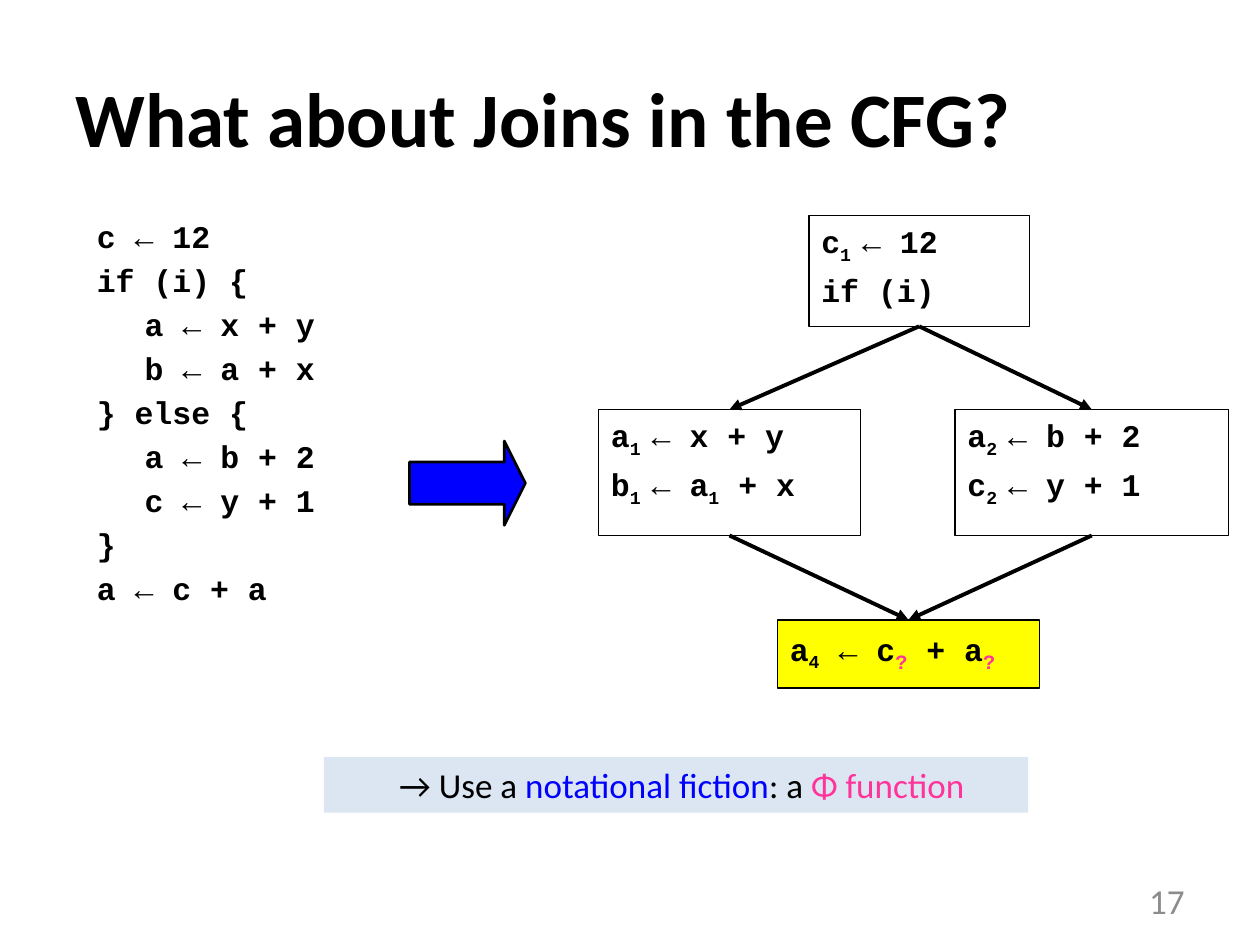
from dataclasses import dataclass
from typing import NamedTuple

import pptx
import pptx.dml.color
import pptx.enum.shapes
import pptx.enum.text
import pptx.oxml.ns
import pptx.util
from lxml import etree
from pptx.util import Inches

COLORS = {
    "black": "000000",
    "blue": "0000FF",
    "pink": "FF3399",
    "yellow": "FFFF00",
    "pale": "DCE6F2",
    "gray": "8C8C8C",
}
ANCHOR = pptx.enum.text.MSO_ANCHOR
ALIGN = pptx.enum.text.PP_ALIGN
SHAPE = pptx.enum.shapes.MSO_SHAPE
BOTTOM_SITE, TOP_SITE = 2, 0


class Run(NamedTuple):
    text: str
    size: float = 18
    font: str = "Courier New"
    color: str = "black"
    bold: bool = True
    subscript: bool = False


@dataclass
class Block:
    name: str
    left: float
    top: float
    width: float
    height: float
    lines: list[list[Run]]
    fill: str | None = None


def sub(text: str) -> Run:
    return Run(text, subscript=True)


def unknown() -> Run:
    return Run("?", size=20, color="pink", subscript=True)


def calibri(text: str, size: float = 20, color: str = "black", bold: bool = False) -> Run:
    return Run(text, size, "Calibri", color, bold)


def rgb(name: str) -> pptx.dml.color.RGBColor:
    return pptx.dml.color.RGBColor.from_string(COLORS[name])


def add_runs(paragraph, runs: list[Run]) -> None:
    for item in runs:
        run = paragraph.add_run()
        run.text = item.text
        run.font.size = pptx.util.Pt(item.size)
        run.font.name = item.font
        run.font.bold = item.bold
        run.font.color.rgb = rgb(item.color)
        if item.subscript:
            run.font._element.set("baseline", "-25000")


def set_indent(paragraph, margin: float, indent: float) -> None:
    properties = paragraph._p.get_or_add_pPr()
    properties.set("marL", str(Inches(margin)))
    properties.set("indent", str(Inches(indent)))


def write_code(text_frame, lines: list[list[Run]]) -> None:
    """Code lines with a hanging indent and 20% space before."""
    text_frame.word_wrap = True
    text_frame.vertical_anchor = ANCHOR.TOP
    for index, runs in enumerate(lines):
        paragraph = text_frame.add_paragraph() if index else text_frame.paragraphs[0]
        paragraph.alignment = ALIGN.LEFT
        set_indent(paragraph, 0.38, -0.38)
        space = etree.SubElement(paragraph._p.get_or_add_pPr(), pptx.oxml.ns.qn("a:spcBef"))
        etree.SubElement(space, pptx.oxml.ns.qn("a:spcPct"), val="20000")
        add_runs(paragraph, runs)


def add_shape(slide, kind, left: float, top: float, width: float, height: float,
              fill: str | None = None, line: float | None = None):
    shape = slide.shapes.add_shape(
        kind, Inches(left), Inches(top), Inches(width), Inches(height))
    shape.shadow.inherit = False
    if fill:
        shape.fill.solid()
        shape.fill.fore_color.rgb = rgb(fill)
    else:
        shape.fill.background()
    if line:
        shape.line.color.rgb = rgb("black")
        shape.line.width = pptx.util.Pt(line)
    else:
        shape.line.fill.background()
    return shape


def add_text(slide, left: float, top: float, width: float, height: float):
    box = slide.shapes.add_textbox(
        Inches(left), Inches(top), Inches(width), Inches(height))
    box.text_frame.word_wrap = True
    box.text_frame.vertical_anchor = ANCHOR.MIDDLE
    return box.text_frame


def add_edge(slide, source, target) -> None:
    edge = slide.shapes.add_connector(
        pptx.enum.shapes.MSO_CONNECTOR.STRAIGHT, 0, 0, 0, 0)
    edge.begin_connect(source, BOTTOM_SITE)
    edge.end_connect(target, TOP_SITE)
    edge.line.color.rgb = rgb("black")
    edge.line.width = pptx.util.Pt(2.25)
    etree.SubElement(edge.line._get_or_add_ln(), pptx.oxml.ns.qn("a:tailEnd"), type="triangle")
    etree.SubElement(edge._element.spPr, pptx.oxml.ns.qn("a:effectLst"))


CODE = [
    "c ← 12", "if (i) { ", "\ta ← x + y", "\tb ← a + x", "} else {",
    "\ta ← b + 2", "\tc ← y + 1", "}", "a ← c + a",
]
BLOCKS = [
    Block("branch", 6.42, 1.71, 1.75, 0.88,
          [[Run("c"), sub("1 "), Run("← 12")], [Run("if (i)")]]),
    Block("then", 4.75, 3.25, 2.08, 1,
          [[Run("a"), sub("1 "), Run("← x + y")],
           [Run("b"), sub("1 "), Run("← a"), sub("1"), Run(" + x")]]),
    Block("else", 7.58, 3.25, 2.17, 1,
          [[Run("a"), sub("2 "), Run("← b + 2")],
           [Run("c"), sub("2 "), Run("← y + 1")]]),
    Block("join", 6.17, 4.92, 2.08, 0.54,
          [[Run("a"), sub("4"), Run(" ← c"), unknown(), Run(" + a"), unknown()]],
          "yellow"),
]
EDGES = [("branch", "then"), ("branch", "else"), ("else", "join"), ("then", "join")]

presentation = pptx.Presentation()
presentation.slide_width = Inches(10)
presentation.slide_height = Inches(7.5)
slide = presentation.slides.add_slide(presentation.slide_layouts[6])

# Title and slide number
title = add_text(slide, 0.5, 0.3, 9, 1.25)
add_runs(title.paragraphs[0], [calibri("What about Joins in the CFG?", 44, bold=True)])
number = add_text(slide, 7.17, 6.95, 2.33, 0.4)
number.paragraphs[0].alignment = ALIGN.RIGHT
add_runs(number.paragraphs[0], [calibri("17", color="gray")])

# Source code and the arrow to its graph
write_code(add_text(slide, 0.67, 1.67, 2.83, 4.67), [[Run(line)] for line in CODE])
arrow = add_shape(slide, SHAPE.RIGHT_ARROW, 3.25, 3.5, 0.92, 0.67, "blue", 1.5)
arrow.adjustments[0] = 0.5
arrow.adjustments[1] = 0.25

# Control flow graph
nodes = {}
for block in BLOCKS:
    node = add_shape(slide, SHAPE.RECTANGLE, block.left, block.top,
                     block.width, block.height, block.fill, 0.75)
    write_code(node.text_frame, block.lines)
    nodes[block.name] = node
for source, target in EDGES:
    add_edge(slide, nodes[source], nodes[target])

# Conclusion
banner = add_shape(slide, SHAPE.RECTANGLE, 2.57, 6.01, 5.59, 0.44, "pale")
banner.text_frame.word_wrap = True
banner.text_frame.vertical_anchor = ANCHOR.TOP
banner.text_frame.auto_size = pptx.enum.text.MSO_AUTO_SIZE.SHAPE_TO_FIT_TEXT
conclusion = banner.text_frame.paragraphs[0]
conclusion.level = 1
conclusion.alignment = ALIGN.LEFT
set_indent(conclusion, 0.5, 0)
add_runs(conclusion, [
    calibri("→ Use a "), calibri("notational fiction", color="blue"),
    calibri(": a "), calibri("Φ function", color="pink"),
])

presentation.save("out.pptx")
